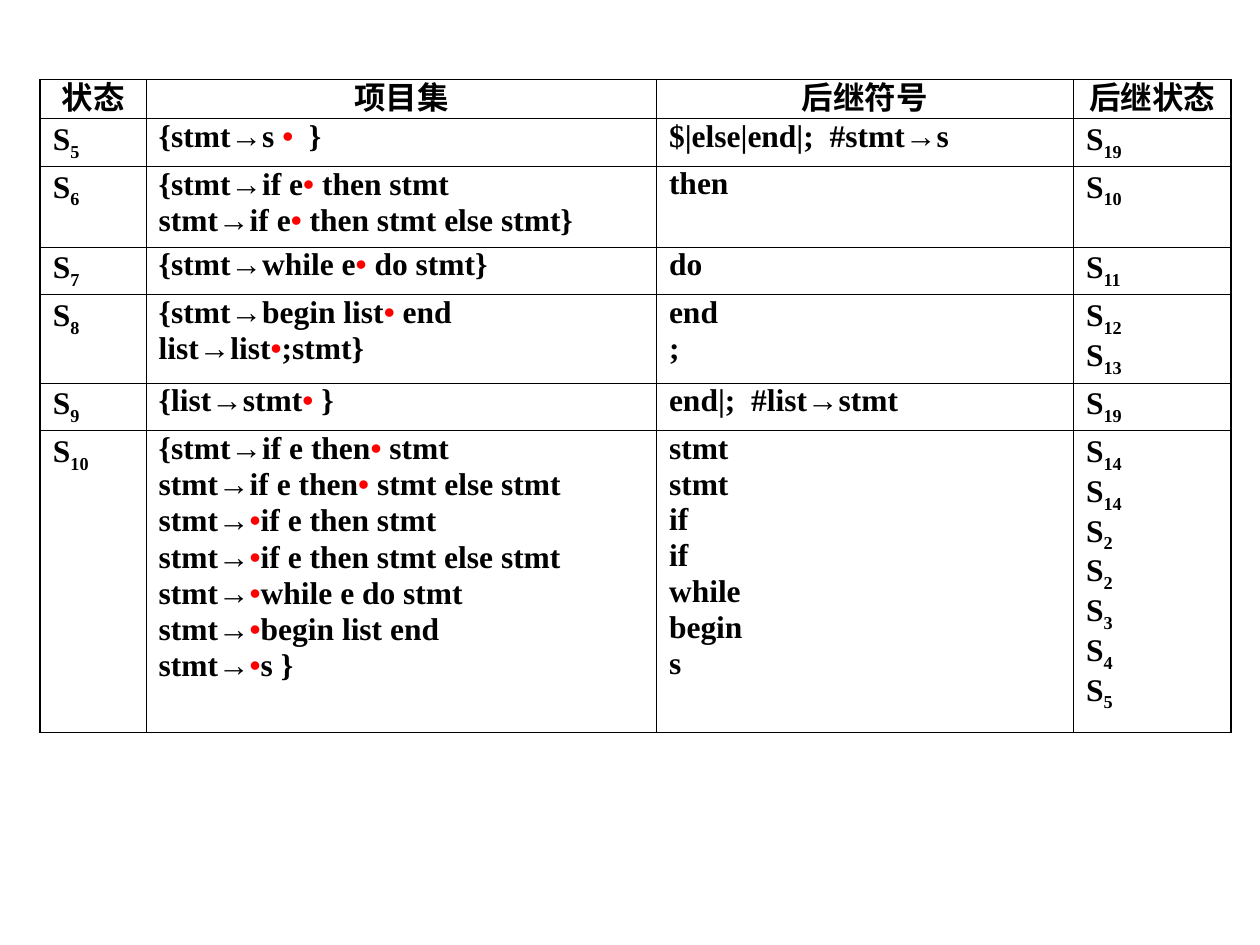
from itertools import groupby

from lxml import etree
from pptx import Presentation
from pptx.dml.color import RGBColor
from pptx.enum.text import PP_ALIGN
from pptx.oxml.ns import qn
from pptx.util import Inches, Pt

BLACK = RGBColor(0x00, 0x00, 0x00)
RED = RGBColor(0xFF, 0x00, 0x00)
LEFT, CENTER = PP_ALIGN.LEFT, PP_ALIGN.CENTER
BODY_FONT, ARROW_FONT, HEADER_FONT = "Times New Roman", "Arial", "Noto Sans CJK SC"
OUTER_LINE, INNER_LINE = Pt(1.08), Pt(0.45)

COLUMN_WIDTHS = [0.84, 4.05, 3.31, 1.25]
ROW_HEIGHTS = [0.31, 0.38, 0.64, 0.38, 0.7, 0.38, 2.39]
HEADERS = ["状态", "项目集", "后继符号", "后继状态"]

# state number, items, successor symbols, successor state numbers
STATES = [
    (5, ["{stmt→s •  }"], ["$|else|end|;  #stmt→s"], [19]),
    (6, ["{stmt→if e• then stmt", "stmt→if e• then stmt else stmt}"], ["then"], [10]),
    (7, ["{stmt→while e• do stmt}"], ["do"], [11]),
    (8, ["{stmt→begin list• end", "list→list•;stmt}"], ["end", ";"], [12, 13]),
    (9, ["{list→stmt• }"], ["end|;  #list→stmt"], [19]),
    (10,
     ["{stmt→if e then• stmt", "stmt→if e then• stmt else stmt",
      "stmt→•if e then stmt", "stmt→•if e then stmt else stmt",
      "stmt→•while e do stmt", "stmt→•begin list end", "stmt→•s }"],
     ["stmt", "stmt", "if", "if", "while", "begin", "s"],
     [14, 14, 2, 2, 3, 4, 5]),
]


def add_run(paragraph, text, typeface=BODY_FONT, color=BLACK, subscript=False):
    run = paragraph.add_run()
    run.text = text
    font = run.font
    for attribute, value in {"name": typeface, "size": Pt(18), "bold": True}.items():
        setattr(font, attribute, value)
    font.color.rgb = color
    properties = run._r.get_or_add_rPr()
    etree.SubElement(properties, qn("a:ea")).set("typeface", typeface)
    if subscript:
        properties.set("baseline", "-25000")


def write_header(paragraph, text):
    add_run(paragraph, text, HEADER_FONT)


def write_state(paragraph, number):
    add_run(paragraph, "S")
    add_run(paragraph, str(number), subscript=True)


def write_grammar(paragraph, text):
    """Write a production with its arrows in Arial and its dots in red."""
    for mark, characters in groupby(text, lambda c: c if c in "→•" else ""):
        add_run(paragraph, "".join(characters),
                ARROW_FONT if mark == "→" else BODY_FONT,
                RED if mark == "•" else BLACK)


def fill_cell(cell, lines, write_line, alignment=LEFT, line_spacing=0.8):
    frame = cell.text_frame
    for index, line in enumerate(lines):
        paragraph = frame.add_paragraph() if index else frame.paragraphs[0]
        paragraph.alignment = alignment
        paragraph.line_spacing = line_spacing
        paragraph.space_before = Pt(4.5 if index else 0)
        write_line(paragraph, line)


def set_borders(cell, widths):
    properties = cell._tc.get_or_add_tcPr()
    for side, width in widths.items():
        line = etree.SubElement(properties, qn(f"a:ln{side}"), w=str(int(width)))
        fill = etree.SubElement(line, qn("a:solidFill"))
        etree.SubElement(fill, qn("a:srgbClr"), val=str(BLACK))


def format_grid(table):
    for column, width in zip(table.columns, COLUMN_WIDTHS):
        column.width = Inches(width)
    last_column = len(COLUMN_WIDTHS) - 1
    for r, height in enumerate(ROW_HEIGHTS):
        table.rows[r].height = Inches(height)
        for c in range(len(COLUMN_WIDTHS)):
            cell = table.cell(r, c)
            set_borders(cell, {
                "L": OUTER_LINE if c == 0 else INNER_LINE,
                "R": OUTER_LINE if c == last_column else INNER_LINE,
                "T": OUTER_LINE if r == 0 else INNER_LINE,
                "B": INNER_LINE,
            })
            cell.fill.background()


def add_state_table(slide, left, top, width, height):
    table = slide.shapes.add_table(
        len(ROW_HEIGHTS), len(COLUMN_WIDTHS), left, top, width, height).table
    table.first_row = False
    table.horz_banding = False
    format_grid(table)
    for c, header in enumerate(HEADERS):
        cell = table.cell(0, c)
        cell.margin_top, cell.margin_bottom = Inches(0.04), Inches(0.01)
        fill_cell(cell, [header], write_header, CENTER, 0.7)
    for r, (state, items, symbols, successors) in enumerate(STATES, start=1):
        fill_cell(table.cell(r, 0), [state], write_state)
        fill_cell(table.cell(r, 1), items, write_grammar)
        fill_cell(table.cell(r, 2), symbols, write_grammar)
        fill_cell(table.cell(r, 3), successors, write_state)


def main():
    presentation = Presentation()
    presentation.slide_width = Inches(10)
    presentation.slide_height = Inches(7.5)
    slide = presentation.slides.add_slide(presentation.slide_layouts[6])
    add_state_table(slide, Inches(0.32), Inches(0.63),
                    Inches(sum(COLUMN_WIDTHS)), Inches(sum(ROW_HEIGHTS)))
    presentation.save("out.pptx")


if __name__ == "__main__":
    main()
